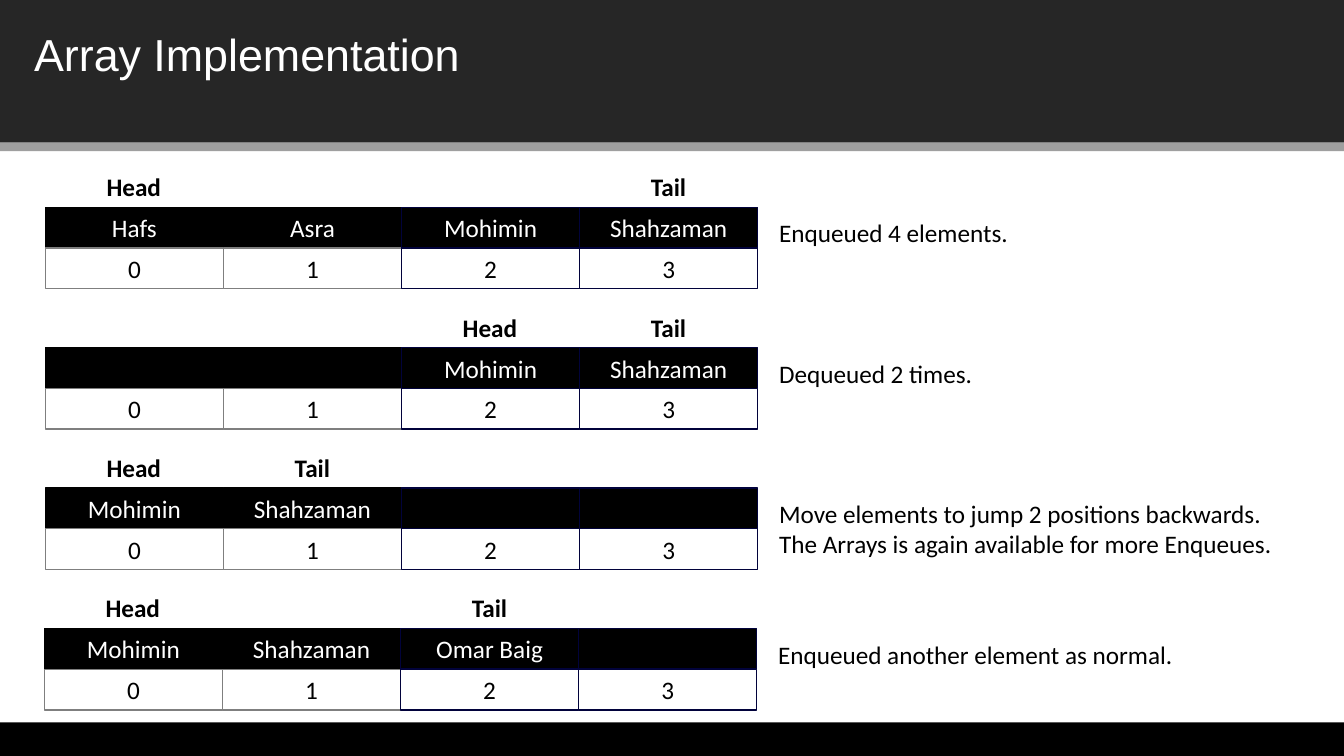
from collections import namedtuple

from pptx import Presentation
from pptx.dml.color import RGBColor
from pptx.enum import shapes, text
from pptx.util import Pt

WHITE = RGBColor(0xFF, 0xFF, 0xFF)
BLACK = RGBColor(0x00, 0x00, 0x00)
CHARCOAL = RGBColor(0x26, 0x26, 0x26)
SILVER = RGBColor(0x9F, 0x9F, 0x9F)
GRAY = RGBColor(0x7F, 0x7F, 0x7F)
NAVY = RGBColor(0x01, 0x02, 0x3B)

Box = namedtuple("Box", "left top width height")

TITLE = {"name": "Arial", "size": Pt(32)}
BODY = {"name": "Calibri", "size": Pt(18)}
MARKER = {**BODY, "bold": True}
MARKER_WIDTHS = {"Head": 54, "Tail": 39.6}

SLIDE_WIDTH, SLIDE_HEIGHT = 960, 540
HEADER_HEIGHT, STRIPE_HEIGHT, FOOTER_HEIGHT = 102, 6, 24
CELL_HEIGHT = 29.1
COLUMN_PITCH = 127.2
FIRST_STEP_TOP, STEP_PITCH = 118.9, 100.3
STEP_WIDTH, STEP_HEIGHT = 884, 3 * CELL_HEIGHT

Step = namedtuple("Step", "left names head tail note")
STEPS = [
    Step(32.4, ["Hafs", "Asra", "Mohimin", "Shahzaman"], 0, 3,
         "Enqueued 4 elements."),
    Step(32.4, ["", "", "Mohimin", "Shahzaman"], 2, 3,
         "Dequeued 2 times."),
    Step(32.4, ["Mohimin", "Shahzaman", "", ""], 0, 1,
         "Move elements to jump 2 positions backwards. "
         "The Arrays is again available for more Enqueues."),
    Step(31.7, ["Mohimin", "Shahzaman", "Omar Baig", ""], 0, 2,
         "Enqueued another element as normal."),
]


def write(shape, words, style, color, alignment=text.PP_ALIGN.LEFT):
    paragraph = shape.text_frame.paragraphs[0]
    paragraph.alignment = alignment
    run = paragraph.add_run()
    run.text = words
    for name, value in style.items():
        setattr(run.font, name, value)
    run.font.color.rgb = color


def add_rectangle(parent, box, fill, line=None):
    shape = parent.shapes.add_shape(
        shapes.MSO_SHAPE.RECTANGLE, *(Pt(length) for length in box))
    shape.shadow.inherit = False
    shape.fill.solid()
    shape.fill.fore_color.rgb = fill
    if line is None:
        shape.line.fill.background()
    else:
        shape.line.color.rgb = line
        shape.line.width = Pt(1)
    return shape


def add_label(parent, box, words, style, color, wrap=True):
    label = parent.shapes.add_textbox(*(Pt(length) for length in box))
    label.text_frame.word_wrap = wrap
    label.text_frame.auto_size = text.MSO_AUTO_SIZE.SHAPE_TO_FIT_TEXT
    write(label, words, style, color)


def add_cell(parent, box, words, fill, line, color):
    cell = add_rectangle(parent, box, fill, line)
    cell.text_frame.vertical_anchor = text.MSO_ANCHOR.MIDDLE
    if words:
        write(cell, words, BODY, color, text.PP_ALIGN.CENTER)


def add_header(slide, box):
    add_rectangle(slide, box, CHARCOAL)
    add_label(slide, Box(box.left + 17.3, box.top + 15.8, box.width - 35.5, 46),
              "Array Implementation", TITLE, WHITE)
    add_rectangle(slide, Box(box.left, box.top + box.height, box.width, STRIPE_HEIGHT),
                  SILVER)


def add_footer(slide, box):
    add_rectangle(slide, box, BLACK)


def add_step(slide, box, step):
    group = slide.shapes.add_group_shape()
    row_height = box.height / 3
    for index, name in enumerate(step.names):
        left = box.left + index * COLUMN_PITCH
        name_line, index_line = (BLACK, GRAY) if index < 2 else (NAVY, NAVY)
        name_box = Box(left, box.top + row_height, COLUMN_PITCH, row_height)
        index_box = name_box._replace(top=box.top + 2 * row_height)
        add_cell(group, name_box, name, BLACK, name_line, WHITE)
        add_cell(group, index_box, str(index), WHITE, index_line, BLACK)
    for marker, index in (("Head", step.head), ("Tail", step.tail)):
        width = MARKER_WIDTHS[marker]
        left = box.left + (index + 0.5) * COLUMN_PITCH - width / 2
        add_label(group, Box(left, box.top, width, row_height),
                  marker, MARKER, BLACK, wrap=False)
    note_offset = 517
    add_label(group, Box(box.left + note_offset, box.top + 33,
                         box.width - note_offset, row_height),
              step.note, BODY, BLACK)


def main():
    presentation = Presentation()
    presentation.slide_width = Pt(SLIDE_WIDTH)
    presentation.slide_height = Pt(SLIDE_HEIGHT)
    slide = presentation.slides.add_slide(presentation.slide_layouts[6])
    add_header(slide, Box(0, 0, SLIDE_WIDTH, HEADER_HEIGHT))
    add_footer(slide, Box(0, SLIDE_HEIGHT - FOOTER_HEIGHT, SLIDE_WIDTH, FOOTER_HEIGHT))
    for number, step in enumerate(STEPS):
        top = FIRST_STEP_TOP + number * STEP_PITCH
        add_step(slide, Box(step.left, top, STEP_WIDTH, STEP_HEIGHT), step)
    presentation.save("out.pptx")


if __name__ == "__main__":
    main()
